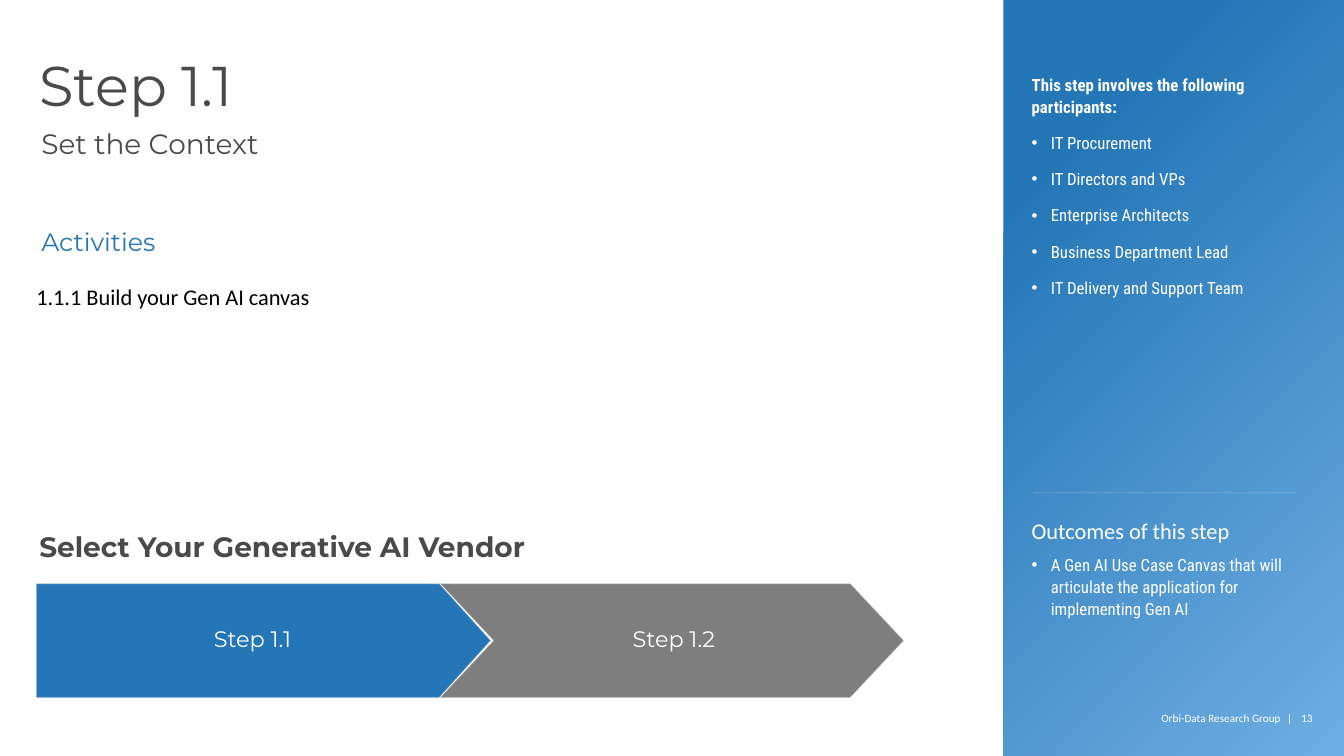
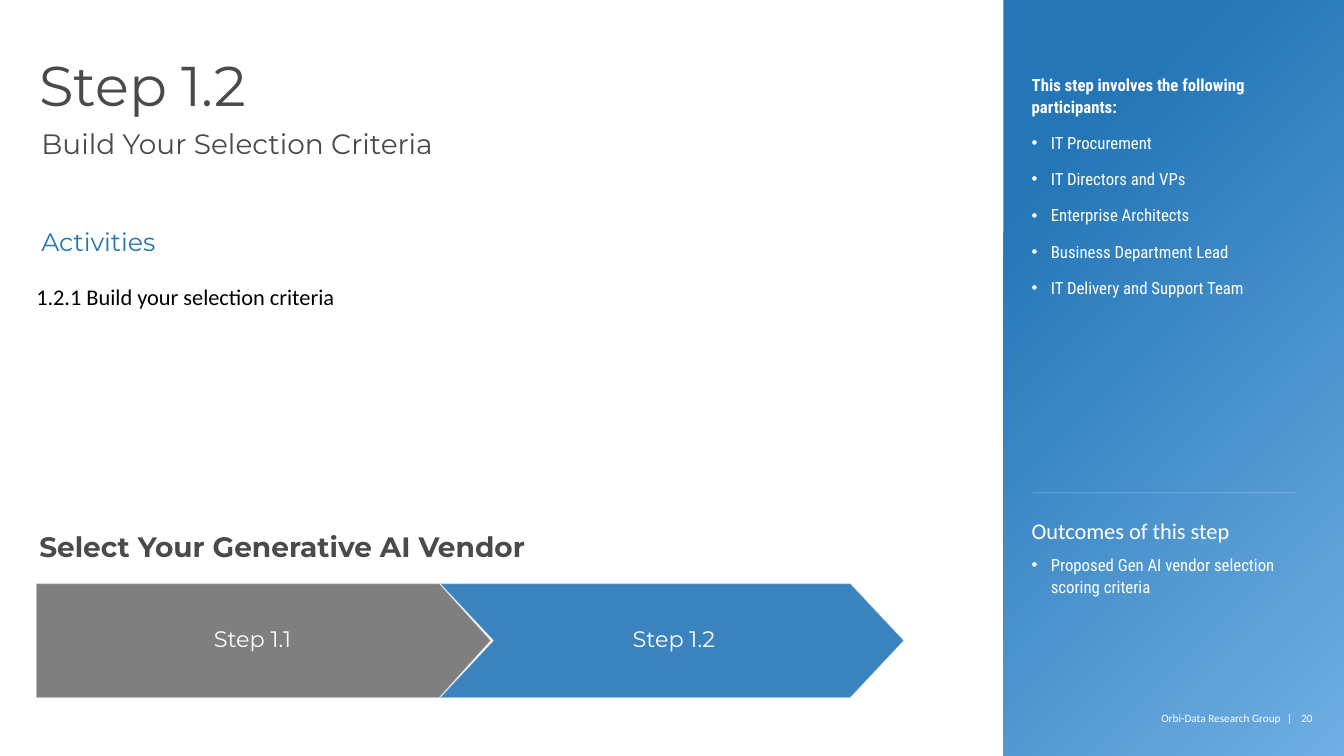
from dataclasses import dataclass, replace

from lxml.etree import SubElement
from pptx import Presentation
from pptx.dml.color import RGBColor
from pptx.enum.shapes import MSO_CONNECTOR, MSO_SHAPE
from pptx.enum.text import MSO_ANCHOR, MSO_AUTO_SIZE, PP_ALIGN
from pptx.oxml.ns import qn
from pptx.util import Emu, Pt

EMU_PER_PX = 9144
COLORS = {
    "blue": "2576B7",
    "sky": "6EAEE2",
    "gray": "7F7F7F",
    "slate": "717171",
    "heading": "4A4A4A",
    "white": "FFFFFF",
    "black": "000000",
}
COMPARISON_LAYOUT = 4


@dataclass(frozen=True)
class Area:
    left: int
    top: int
    width: int
    height: int


@dataclass(frozen=True)
class Style:
    font: str
    size: int
    color: str
    bold: bool = False
    leading: float = 0.9
    bullet: bool = False
    align: PP_ALIGN = PP_ALIGN.LEFT


@dataclass(frozen=True)
class Line:
    text: str
    style: Style


@dataclass(frozen=True)
class Arrow:
    label: str
    preset: MSO_SHAPE
    area: Area
    point: int
    idle_color: str
    opacity: int


@dataclass(frozen=True)
class Step:
    title: str
    subtitle: str
    activity: str
    outcome: str
    number: int


TITLE = Style("Montserrat", 40, "heading")
SUBTITLE = replace(TITLE, size=20)
PHASE = replace(SUBTITLE, bold=True)
ACTIVITIES = Style("Montserrat", 18, "blue")
ACTIVITY = Style("Calibri", 16, "black")
OUTCOMES = replace(ACTIVITY, color="white")
LIST_ITEM = Style("Roboto Condensed", 12, "white", leading=1.1, bullet=True)
LIST_HEAD = replace(LIST_ITEM, bold=True, bullet=False)
ARROW_LABEL = Style("Montserrat", 16, "white", align=PP_ALIGN.CENTER)
FOOTER = Style("Calibri", 8, "white", leading=1.0, align=PP_ALIGN.RIGHT)

PARTICIPANTS = [Line("This step involves the following participants:", LIST_HEAD)] + [
    Line(name, LIST_ITEM)
    for name in (
        "IT Procurement",
        "IT Directors and VPs",
        "Enterprise Architects",
        "Business Department Lead",
        "IT Delivery and Support Team",
    )
]
ARROWS = [
    Arrow("Step 1.1", MSO_SHAPE.PENTAGON, Area(36, 579, 451, 113), 51, "gray", 100),
    Arrow("Step 1.2", MSO_SHAPE.CHEVRON, Area(437, 579, 460, 113), 53, "slate", 90),
]
STEPS = [
    Step(
        "Step 1.1",
        "Set the Context",
        "1.1.1 Build your Gen AI canvas",
        "A Gen AI Use Case Canvas that will articulate the application for implementing Gen AI",
        13,
    ),
    Step(
        "Step 1.2",
        "Build Your Selection Criteria",
        "1.2.1 Build your selection criteria",
        "Proposed Gen AI vendor selection scoring criteria",
        20,
    ),
]


def px(value: int) -> Emu:
    return Emu(value * EMU_PER_PX)


def rgb(name: str) -> RGBColor:
    return RGBColor.from_string(COLORS[name])


def set_opacity(owner, percent: int) -> None:
    color = next(owner.iter(qn("a:srgbClr")))
    SubElement(color, qn("a:alpha"), val=str(percent * 1000))


def style_paragraph(para, style: Style, gap: int = 0) -> None:
    properties = para._p.get_or_add_pPr()
    indent = px(19) if style.bullet else 0
    properties.set("marL", str(indent))
    properties.set("indent", str(-indent))
    if style.bullet:
        SubElement(properties, qn("a:buFont"), typeface="Arial")
        SubElement(properties, qn("a:buChar"), char="•")
    else:
        SubElement(properties, qn("a:buNone"))
    para.alignment = style.align
    para.line_spacing = style.leading
    para.space_before = Pt(gap)
    para.space_after = Pt(0)
    para.font.name = style.font
    para.font.size = Pt(style.size)
    para.font.bold = style.bold
    para.font.color.rgb = rgb(style.color)


def write(box, lines: list[Line], anchor: MSO_ANCHOR = MSO_ANCHOR.TOP) -> None:
    frame = box.text_frame
    frame.word_wrap = True
    frame.auto_size = MSO_AUTO_SIZE.NONE
    frame.vertical_anchor = anchor
    frame.margin_left = frame.margin_right = frame.margin_top = frame.margin_bottom = 0
    for index, line in enumerate(lines):
        para = frame.add_paragraph() if index else frame.paragraphs[0]
        para.text = line.text
        style_paragraph(para, line.style, 10 if index else 0)


def place(box, area: Area) -> None:
    box.left, box.top = px(area.left), px(area.top)
    box.width, box.height = px(area.width), px(area.height)


def add_box(page, area: Area):
    return page.shapes.add_textbox(
        px(area.left), px(area.top), px(area.width), px(area.height)
    )


def add_preset(page, preset: MSO_SHAPE, area: Area):
    shape = page.shapes.add_shape(
        preset, px(area.left), px(area.top), px(area.width), px(area.height)
    )
    shape.shadow.inherit = False
    return shape


def add_panel(page) -> None:
    panel = add_preset(page, MSO_SHAPE.RECTANGLE, Area(996, 0, 338, 750))
    panel.line.fill.background()
    panel.fill.gradient()
    panel.fill.gradient_angle = 315
    for stop, position, color in zip(
        panel.fill.gradient_stops, (0.19, 1.0), ("blue", "sky")
    ):
        stop.position = position
        stop.color.rgb = rgb(color)
    page.shapes._spTree.insert(2, panel._element)


def add_divider(page) -> None:
    divider = page.shapes.add_connector(
        MSO_CONNECTOR.STRAIGHT, px(1025), px(489), px(1287), px(489)
    )
    divider.line.width = Pt(0.25)
    divider.line.color.rgb = rgb("white")
    set_opacity(divider.line._ln, 40)
    SubElement(divider._element.spPr, qn("a:effectLst"))


def add_arrow(page, arrow: Arrow, active: bool) -> None:
    shape = add_preset(page, arrow.preset, arrow.area)
    shape.adjustments[0] = arrow.point / arrow.area.height
    shape.fill.solid()
    shape.fill.fore_color.rgb = rgb("blue" if active else arrow.idle_color)
    set_opacity(shape._element.spPr.find(qn("a:solidFill")), arrow.opacity)
    shape.line.width = Pt(1)
    shape.line.color.rgb = rgb("white")
    set_opacity(shape.line._ln, 20)
    write(shape, [Line(arrow.label, ARROW_LABEL)], MSO_ANCHOR.MIDDLE)
    shape.text_frame.margin_left = px(4)


def add_footer(page, number: int) -> None:
    footer = add_box(page, Area(963, 706, 340, 13))
    write(footer, [Line("Orbi-Data Research Group", FOOTER)])
    para = footer.text_frame.paragraphs[0]
    separator = para.add_run()
    separator.text = " | "
    separator._r.get_or_add_rPr().set("spc", "240")
    span = para.add_run()
    span.text = str(number)


def build_page(deck, step: Step) -> None:
    page = deck.slides.add_slide(deck.slide_layouts[COMPARISON_LAYOUT])
    add_panel(page)
    holders = page.placeholders
    contents = [
        (holders[0], Area(39, 58, 927, 57), [Line(step.title, TITLE)]),
        (holders[1], Area(41, 129, 622, 50), [Line(step.subtitle, SUBTITLE)]),
        (holders[2], Area(1024, 72, 277, 414), PARTICIPANTS),
        (holders[3], Area(1024, 516, 278, 35), [Line("Outcomes of this step", OUTCOMES)]),
        (holders[4], Area(1024, 548, 274, 145), [Line(step.outcome, LIST_ITEM)]),
    ]
    for holder, area, lines in contents:
        place(holder, area)
        write(holder, lines)
    for area, line in (
        (Area(41, 228, 495, 41), Line("Activities", ACTIVITIES)),
        (Area(36, 284, 782, 182), Line(step.activity, ACTIVITY)),
        (Area(39, 529, 773, 40), Line("Select Your Generative AI Vendor", PHASE)),
    ):
        write(add_box(page, area), [line])
    add_divider(page)
    for arrow in ARROWS:
        add_arrow(page, arrow, arrow.label == step.title)
    add_footer(page, step.number)


def main() -> None:
    deck = Presentation()
    deck.slide_width, deck.slide_height = px(1334), px(750)
    for step in STEPS:
        build_page(deck, step)
    deck.save("out.pptx")


if __name__ == "__main__":
    main()
